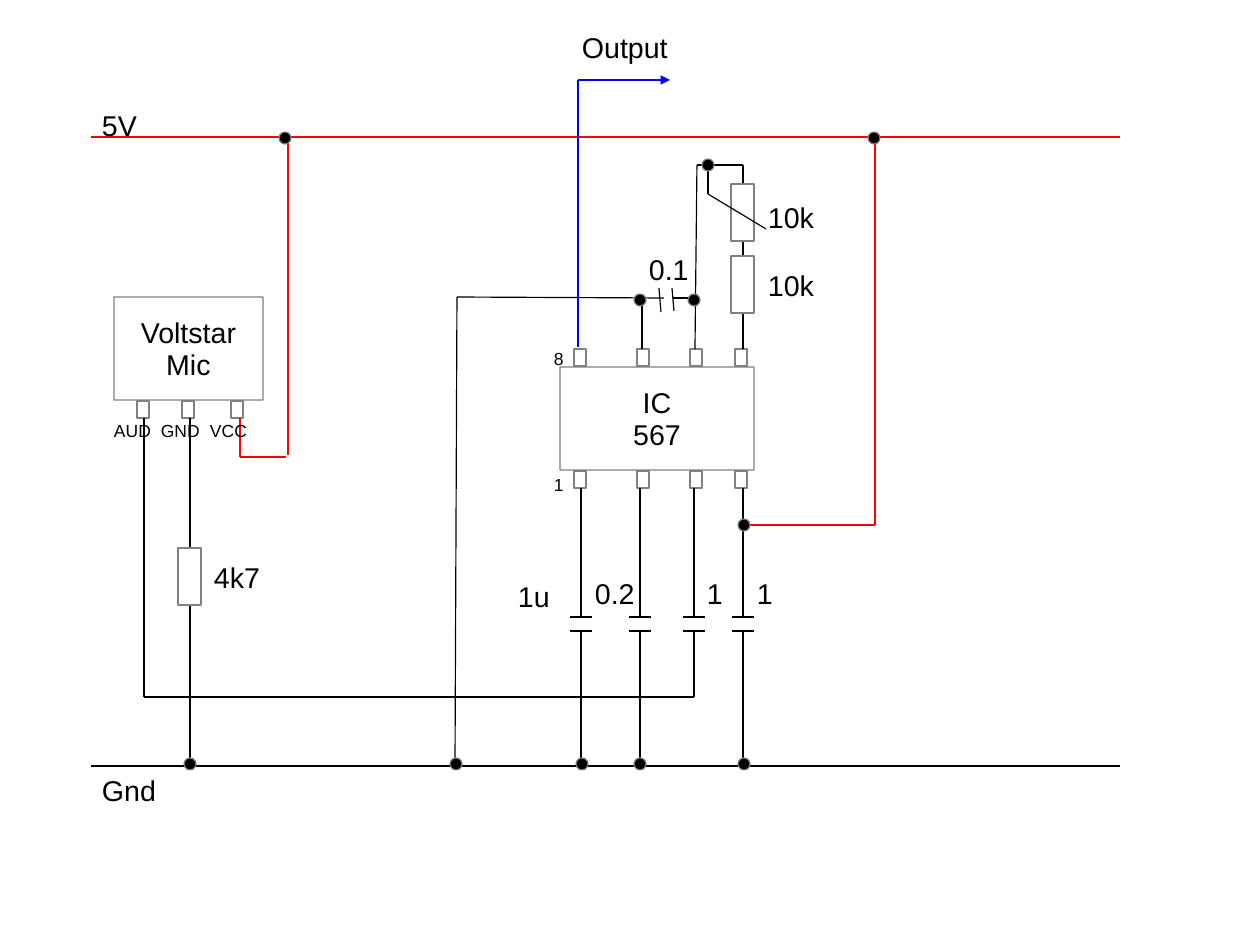
from itertools import pairwise

from pptx import Presentation
from pptx.dml.color import RGBColor
from pptx.enum.shapes import MSO_CONNECTOR, MSO_SHAPE
from pptx.enum.text import MSO_ANCHOR, PP_ALIGN
from pptx.oxml.ns import qn
from pptx.util import Pt
from lxml.etree import SubElement

SCALE = 8000
FONT = "Arial"
BLACK, WHITE, GREY, RED, BLUE = "000000", "FFFFFF", "808080", "FF0000", "0000FF"
LINE_WIDTH = 0.74
SUPPLY_Y, GROUND_Y, AUDIO_Y = 137, 766, 697
PLATE_TOP, PLATE_BOTTOM = 617, 631
MIC_PINS = [137, 182, 231]
CHIP_PINS = [574, 637, 690, 735]
CAPACITORS = [(581, GROUND_Y), (640, GROUND_Y), (694, AUDIO_Y), (743, GROUND_Y)]
RESISTORS = [(178, 548), (731, 184), (731, 256)]

WIRES = [
    (RED, [(91, SUPPLY_Y), (1120, SUPPLY_Y)]),
    (RED, [(240, 418), (240, 457), (286, 457)]),
    (RED, [(288, 135), (288, 455)]),
    (RED, [(744, 525), (875, 525), (875, 135)]),
    (BLACK, [(91, GROUND_Y), (1120, GROUND_Y)]),
    (BLACK, [(190, 418), (190, GROUND_Y)]),
    (BLACK, [(694, AUDIO_Y), (144, AUDIO_Y), (144, 418)]),
    (BLACK, [(455, GROUND_Y), (457, 297), (664, 298)]),
    (BLACK, [(642, 349), (642, 297)]),
    (BLACK, [(661, 312), (659, 288)]),
    (BLACK, [(674, 311), (672, 288)]),
    (BLACK, [(673, 298), (695, 298)]),
    (BLACK, [(695, 349), (697, 165), (743, 165), (743, 349)]),
]

JUNCTIONS = [
    (285, 138), (874, 138), (744, 525), (708, 165), (640, 300), (694, 300),
    (190, 764), (456, 764), (582, 764), (640, 764), (744, 764),
]

LABELS = [
    ("5V", 91, 103, 57), ("Gnd", 91, 768, 77), ("Output", 571, 25, 109),
    ("4k7", 203, 555, 69), ("10k", 757, 195, 69), ("10k", 757, 263, 69),
    ("0.1", 638, 247, 63), ("1u", 507, 574, 54), ("0.2", 584, 571, 63),
    ("1", 696, 571, 39), ("1", 746, 571, 39),
]

PIN_LABELS = [
    ("8", 543, 342, 32), ("1", 543, 468, 32),
    ("AUD", 103, 414, 60), ("GND", 150, 414, 62), ("VCC", 199, 414, 60),
]


def px(value):
    """Turn pixels into EMU."""
    return round(value * SCALE)


def color(value):
    """Turn a hex string into a colour."""
    return RGBColor.from_string(value)


def write_text(shape, text, size=18, align=PP_ALIGN.LEFT, anchor=MSO_ANCHOR.TOP, wrap=False):
    """Write one paragraph per line of text into a shape."""
    frame = shape.text_frame
    frame.word_wrap = wrap
    frame.vertical_anchor = anchor
    frame.margin_left = frame.margin_right = px(11)
    frame.margin_top, frame.margin_bottom = px(8), px(6)
    frame.text = text
    for paragraph in frame.paragraphs:
        paragraph.alignment = align
        paragraph.line_spacing = 0.93
        paragraph.font.size = Pt(size)
        paragraph.font.name = FONT
        paragraph.font.color.rgb = color(BLACK)


def add_label(slide, text, left, top, width, size=18):
    """Add a free-standing label."""
    box = slide.shapes.add_textbox(px(left), px(top), px(width), px(44))
    write_text(box, text, size=size)


def add_part(slide, left, top, width, height, kind=MSO_SHAPE.RECTANGLE, fill=WHITE):
    """Add a filled shape with a thin grey outline."""
    shape = slide.shapes.add_shape(kind, px(left), px(top), px(width), px(height))
    shape.shadow.inherit = False
    shape.fill.solid()
    shape.fill.fore_color.rgb = color(fill)
    shape.line.color.rgb = color(GREY)
    shape.line.width = Pt(LINE_WIDTH)
    return shape


def add_module(slide, text, left, top, width):
    """Add a component body with its name in the middle."""
    shape = add_part(slide, left, top, width, 103, kind=MSO_SHAPE.ROUNDED_RECTANGLE)
    shape.adjustments[0] = 0.002
    write_text(shape, text, align=PP_ALIGN.CENTER, anchor=MSO_ANCHOR.MIDDLE, wrap=True)


def add_pins(slide, lefts, top):
    """Add a row of pins."""
    for left in lefts:
        add_part(slide, left, top, 12, 17)


def add_wire(slide, points, stroke=BLACK, arrow=False):
    """Add straight segments through the points, with an arrowhead on the last if asked."""
    for start, end in pairwise(points):
        segment = slide.shapes.add_connector(
            MSO_CONNECTOR.STRAIGHT, *map(px, start), *map(px, end))
        segment.line.color.rgb = color(stroke)
        segment.line.width = Pt(LINE_WIDTH)
        SubElement(segment._element.spPr, qn("a:effectLst"))
    if arrow:
        SubElement(segment.line._get_or_add_ln(), qn("a:tailEnd"), type="triangle")


def add_capacitor(slide, x, bottom):
    """Add a capacitor with its leads, from a lower chip pin down to bottom."""
    add_wire(slide, [(x, 488), (x, PLATE_TOP)])
    add_wire(slide, [(x, PLATE_BOTTOM), (x, bottom)])
    for y in (PLATE_TOP, PLATE_BOTTOM):
        add_wire(slide, [(x - 11, y), (x + 11, y)])


def add_junction(slide, x, y):
    """Add a junction dot centred on a point."""
    add_part(slide, x - 6, y - 6, 12, 12, kind=MSO_SHAPE.OVAL, fill=BLACK)


def main():
    """Build the circuit diagram."""
    presentation = Presentation()
    presentation.slide_width, presentation.slide_height = px(1260), px(945)
    slide = presentation.slides.add_slide(presentation.slide_layouts[6])

    add_module(slide, "Voltstar\nMic", 114, 297, 149)
    add_pins(slide, MIC_PINS, 401)
    add_module(slide, "IC\n567", 560, 367, 194)
    add_pins(slide, CHIP_PINS, 349)
    add_pins(slide, CHIP_PINS, 471)

    for stroke, points in WIRES:
        add_wire(slide, points, stroke=stroke)
    add_wire(slide, [(578, 347), (578, 80), (670, 80)], stroke=BLUE, arrow=True)
    for x, bottom in CAPACITORS:
        add_capacitor(slide, x, bottom)
    for left, top in RESISTORS:
        add_part(slide, left, top, 23, 57)
    add_wire(slide, [(708, 165), (708, 194), (766, 229)])
    for x, y in JUNCTIONS:
        add_junction(slide, x, y)

    for label in LABELS:
        add_label(slide, *label)
    for label in PIN_LABELS:
        add_label(slide, *label, size=11)
    presentation.save("out.pptx")


main()
